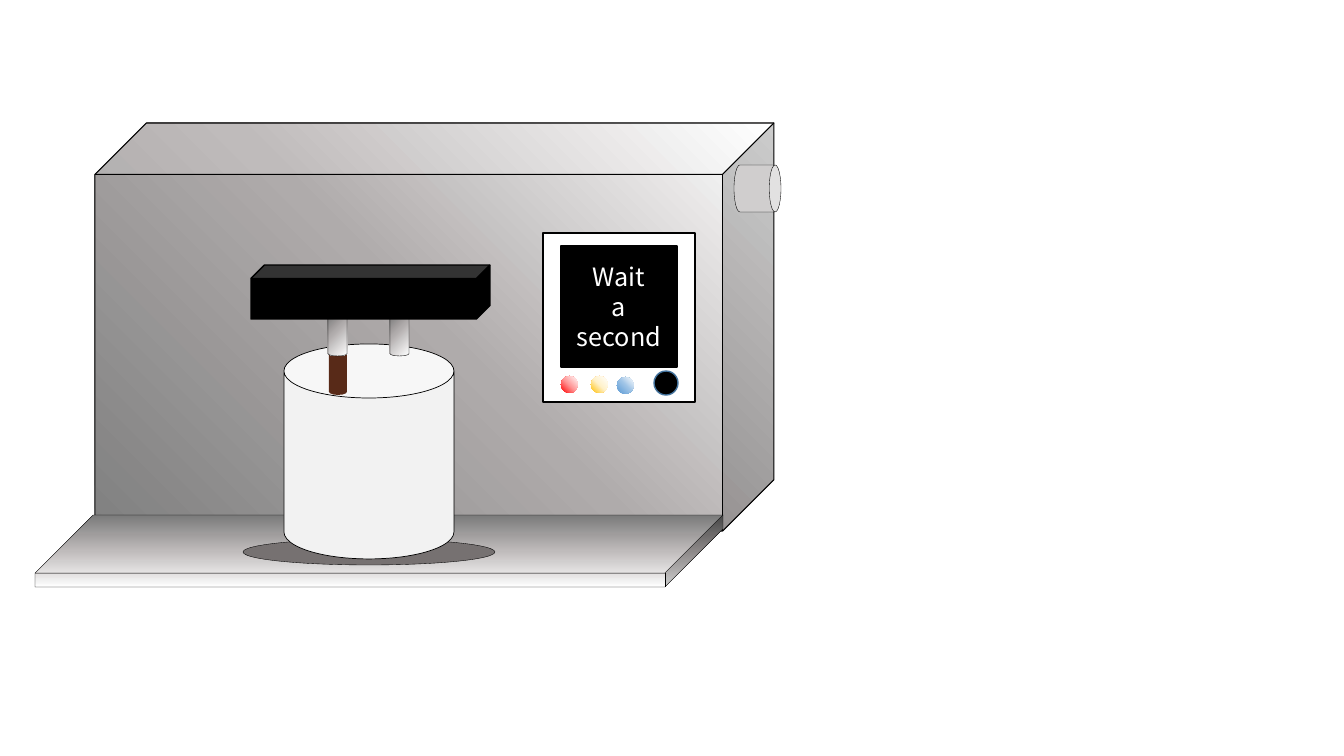
from lxml.etree import SubElement
from pptx import Presentation
from pptx.dml.color import RGBColor
from pptx.enum.shapes import MSO_SHAPE
from pptx.enum.text import MSO_ANCHOR, PP_ALIGN
from pptx.oxml.ns import qn
from pptx.util import Emu, Pt

SCALE = 12192000 / 1344
HUES = {
    "black": "000000", "white": "FFFFFF", "dark": "595959", "steel": "808080",
    "silver": "AFABAB", "knob": "D0CECE", "shade": "767171", "cup": "F2F2F2",
    "coffee": "582A18", "rim": "43739E",
    "red": "FF0000", "pink": "FF9B9B", "gold": "FFC000", "cream": "FFF2CC",
    "blue": "5B9BD5", "sky": "9DC3E6",
}
FONT = {"name": "Noto Sans CJK KR", "size": Pt(18)}
FRAME = {"word_wrap": True, "vertical_anchor": MSO_ANCHOR.MIDDLE}
LIGHTS = [(561, 376, "red", "pink"), (591, 376, "gold", "cream"),
          (617, 377, "blue", "sky")]


def px(n):
    return Emu(round(n * SCALE))


def tint(hue):
    return RGBColor.from_string(HUES[hue])


def style(item, values):
    for name, value in values.items():
        setattr(item, name, value)


def blend(fill, first, mid, angle):
    """Three-stop gradient to white; angle runs clockwise in degrees."""
    fill.gradient()
    grad = fill._xPr.find(qn("a:gradFill"))
    stops = grad.find(qn("a:gsLst"))
    for stop in list(stops):
        stops.remove(stop)
    for place, hue in ((0, first), (50, mid), (100, "white")):
        stop = SubElement(stops, qn("a:gs"), pos=str(place * 1000))
        SubElement(stop, qn("a:srgbClr"), val=HUES[hue])
    grad.find(qn("a:lin")).set("ang", str(angle * 60000))


def part(shapes, kind, box, fill, line=None, width=0.25, adjust=None):
    """Add a shape; fill is a hue name or (first, mid, angle)."""
    shape = shapes.add_shape(kind, *map(px, box))
    shape.shadow.inherit = False
    if isinstance(fill, tuple):
        blend(shape.fill, *fill)
    else:
        shape.fill.solid()
        shape.fill.fore_color.rgb = tint(fill)
    if line:
        shape.line.color.rgb = tint(line)
        shape.line.width = Pt(width)
    else:
        shape.line.fill.background()
    if adjust is not None:
        shape.adjustments[0] = adjust
    return shape


def write(shape, lines):
    frame = shape.text_frame
    style(frame, FRAME)
    frame.text = "\n".join(lines)
    for para in frame.paragraphs:
        para.alignment = PP_ALIGN.CENTER
        for run in para.runs:
            style(run.font, FONT)
            run.font.color.rgb = tint("white")


def draw_case(shapes):
    part(shapes, MSO_SHAPE.CUBE, (95, 123, 679, 408),
         ("steel", "silver", 315), "black", 0.75, 0.126)
    part(shapes, MSO_SHAPE.CUBE, (35, 515, 688, 72),
         ("dark", "silver", 90), "black", adjust=0.808)
    knob = part(shapes, MSO_SHAPE.CAN, (734, 165, 47, 47), "knob", "black")
    knob.rotation = 90


def draw_cup(shapes):
    part(shapes, MSO_SHAPE.OVAL, (243, 539, 252, 26), "shade", "black")
    part(shapes, MSO_SHAPE.CAN, (284, 344, 170, 215), "cup", "black", 0.5, 0.318)
    part(shapes, MSO_SHAPE.CAN, (329, 348, 18, 47), "coffee", adjust=0.352)


def draw_panel(shapes):
    part(shapes, MSO_SHAPE.RECTANGLE, (543, 233, 152, 169), "white", "black", 1)
    screen = part(shapes, MSO_SHAPE.RECTANGLE, (561, 246, 116, 121),
                  "black", "black", 1)
    write(screen, ["Wait", "a", "second"])
    for left, top, first, mid in LIGHTS:
        part(shapes, MSO_SHAPE.OVAL, (left, top, 17, 17), (first, mid, 315))
    part(shapes, MSO_SHAPE.OVAL, (654, 371, 24, 24), "black", "rim", 1)


def draw_spout(shapes):
    for left in (328, 390):
        part(shapes, MSO_SHAPE.CAN, (left, 301, 19, 55),
             ("dark", "silver", 45), "black")
    part(shapes, MSO_SHAPE.CUBE, (251, 265, 239, 54), "black", "black", 1)


def main():
    deck = Presentation()
    style(deck, {"slide_width": px(1344), "slide_height": px(756)})
    shapes = deck.slides.add_slide(deck.slide_layouts[6]).shapes
    draw_case(shapes.add_group_shape().shapes)
    draw_cup(shapes)
    draw_panel(shapes.add_group_shape().shapes)
    draw_spout(shapes)
    deck.save("out.pptx")


if __name__ == "__main__":
    main()
